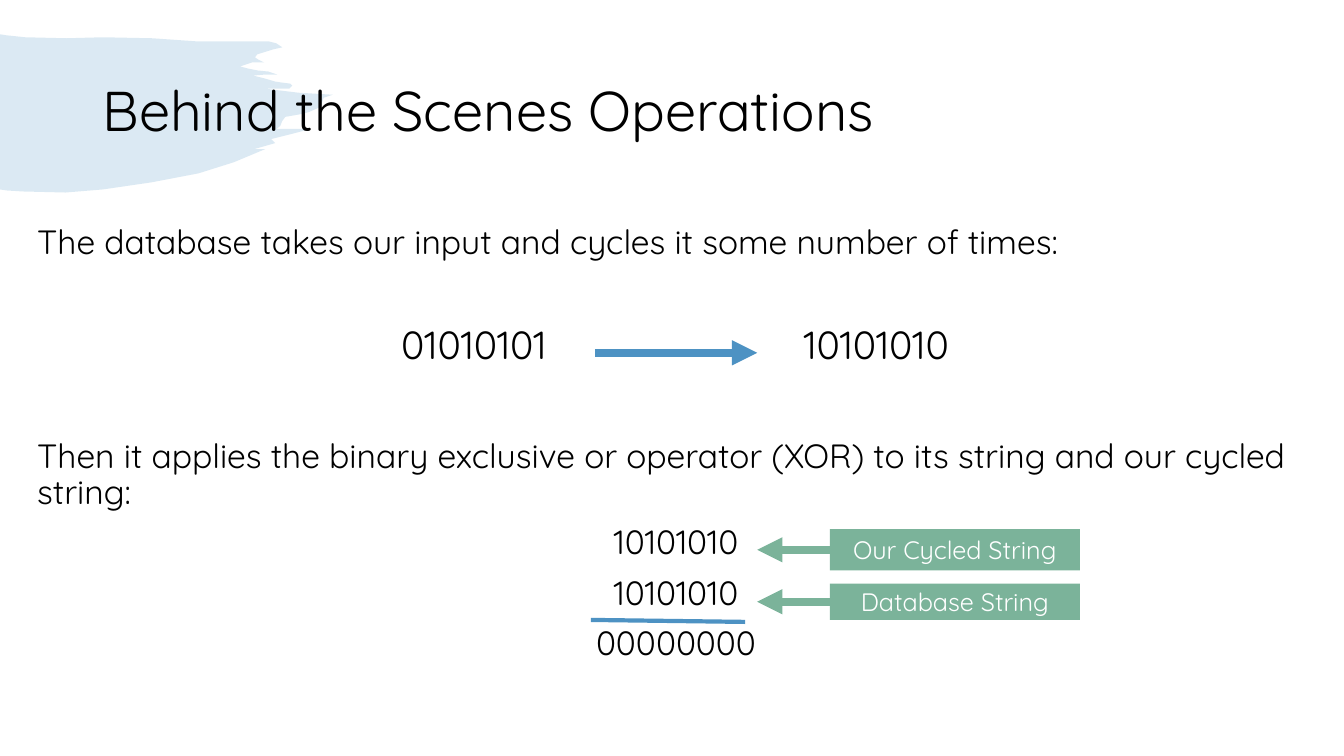
from lxml import etree
from pptx import Presentation
from pptx.dml.color import RGBColor as Rgb
from pptx.enum.shapes import MSO_CONNECTOR as Link, MSO_SHAPE as Shape
from pptx.enum.text import MSO_ANCHOR as Anchor, PP_ALIGN as Align
from pptx.oxml.ns import qn
from pptx.util import Inches, Pt

FONT = "Quicksand"
COLORS = {"text": "000000", "blue": "4D92C3", "green": "7BB39A", "white": "FFFFFF"}

# Brush outline in hundredths of an inch
BRUSH = [
    (0, 34), (6, 35), (25, 37), (66, 38), (102, 37), (151, 38), (194, 41),
    (248, 41), (266, 41), (274, 43), (280, 47), (271, 49), (255, 54), (253, 57),
    (256, 59), (262, 62), (250, 62), (238, 66), (246, 68), (256, 70), (266, 71),
    (275, 74), (263, 74), (251, 75), (263, 78), (273, 81), (280, 82), (288, 83),
    (290, 85), (287, 88), (284, 88), (263, 88), (296, 92), (330, 94), (321, 97),
    (318, 106), (307, 111), (300, 113), (283, 116), (280, 120), (278, 125),
    (274, 128), (308, 128), (289, 133), (269, 138), (273, 142), (252, 148),
    (263, 148), (232, 161), (197, 172), (150, 181), (102, 188), (65, 191),
    (23, 190), (7, 189), (0, 188),
]

# Text, size, centred
TITLE = [("Behind the Scenes Operations", 40, False)]
INTRO = [("The database takes our input and cycles it some number of times:", 24, False)]
XOR = [
    ("Then it applies the binary exclusive or operator (XOR) to its string "
     "and our cycled string:", 24, False),
    ("10101010", 24, True),
    ("10101010", 24, True),
    ("00000000", 24, True),
]


def color(name):
    return Rgb.from_string(COLORS[name])


def style(par, size, tone="text"):
    par.font.name = FONT
    par.font.size = Pt(size)
    par.font.color.rgb = color(tone)


def draw_brush(slide):
    pen = slide.shapes.build_freeform(*BRUSH[0], scale=Inches(0.01))
    pen.add_line_segments(BRUSH[1:], close=True)
    brush = pen.convert_to_shape()
    brush.shadow.inherit = False
    brush.line.fill.background()
    brush.fill.solid()
    brush.fill.fore_color.rgb = color("blue")
    tone = next(brush.element.spPr.iter(qn("a:srgbClr")))
    etree.SubElement(tone, qn("a:alpha"), val="20000")


def add_text(slide, box, rows, anchor=Anchor.TOP):
    frame = slide.shapes.add_textbox(*map(Inches, box)).text_frame
    frame.word_wrap = True
    frame.vertical_anchor = anchor
    for i, (text, size, mid) in enumerate(rows):
        par = frame.add_paragraph() if i else frame.paragraphs[0]
        par.text = text
        par.alignment = Align.CENTER if mid else Align.LEFT
        par.line_spacing = 0.9
        par.space_before = Pt(10 if i else 0)
        style(par, size)


def add_line(slide, start, end, tone, width, arrow=False):
    line = slide.shapes.add_connector(
        Link.STRAIGHT, *map(Inches, start), *map(Inches, end))
    line.line.color.rgb = color(tone)
    line.line.width = Pt(width)
    props = line.element.spPr
    if arrow:
        etree.SubElement(props.find(qn("a:ln")), qn("a:tailEnd"), type="triangle")
    etree.SubElement(props, qn("a:effectLst"))
    return line


def add_cycle(slide, box):
    """Place the input at the left, the cycled string at the right."""
    left, top, width, height = box
    side = 1.9
    add_text(slide, (left, top, side, height), [("01010101", 28, True)])
    add_text(slide, (left + width - side, top, side, height),
             [("10101010", 28, True)])
    mid = top + 0.32
    add_line(slide, (left + 2.15, mid), (left + 3.76, mid), "blue", 6, True)


def add_label(slide, box, text):
    """Place a green label with an arrow from its left side."""
    left, top, _, height = box
    label = slide.shapes.add_shape(Shape.RECTANGLE, *map(Inches, box))
    label.shadow.inherit = False
    label.fill.solid()
    label.fill.fore_color.rgb = color("green")
    label.line.fill.background()
    label.text_frame.vertical_anchor = Anchor.MIDDLE
    par = label.text_frame.paragraphs[0]
    par.text = text
    par.alignment = Align.CENTER
    style(par, 18, "white")
    mid = top + height / 2
    arrow = add_line(slide, (left, mid), (left - 0.72, mid), "green", 6, True)
    arrow.begin_connect(label, 1)


def main():
    deck = Presentation()
    deck.slide_width, deck.slide_height = Inches(13.33), Inches(7.5)
    slide = deck.slides.add_slide(deck.slide_layouts[6])
    draw_brush(slide)
    add_text(slide, (0.92, 0.4, 11.5, 1.45), TITLE, Anchor.MIDDLE)
    add_text(slide, (0.27, 2.19, 12.87, 0.5), INTRO)
    add_cycle(slide, (3.75, 3.18, 5.89, 0.55))
    add_text(slide, (0.27, 4.31, 12.87, 2.43), XOR)
    add_line(slide, (5.86, 6.15), (7.39, 6.17), "blue", 3)
    add_label(slide, (8.23, 5.25, 2.48, 0.41), "Our Cycled String")
    add_label(slide, (8.23, 5.79, 2.48, 0.36), "Database String")
    deck.save("out.pptx")


if __name__ == "__main__":
    main()
